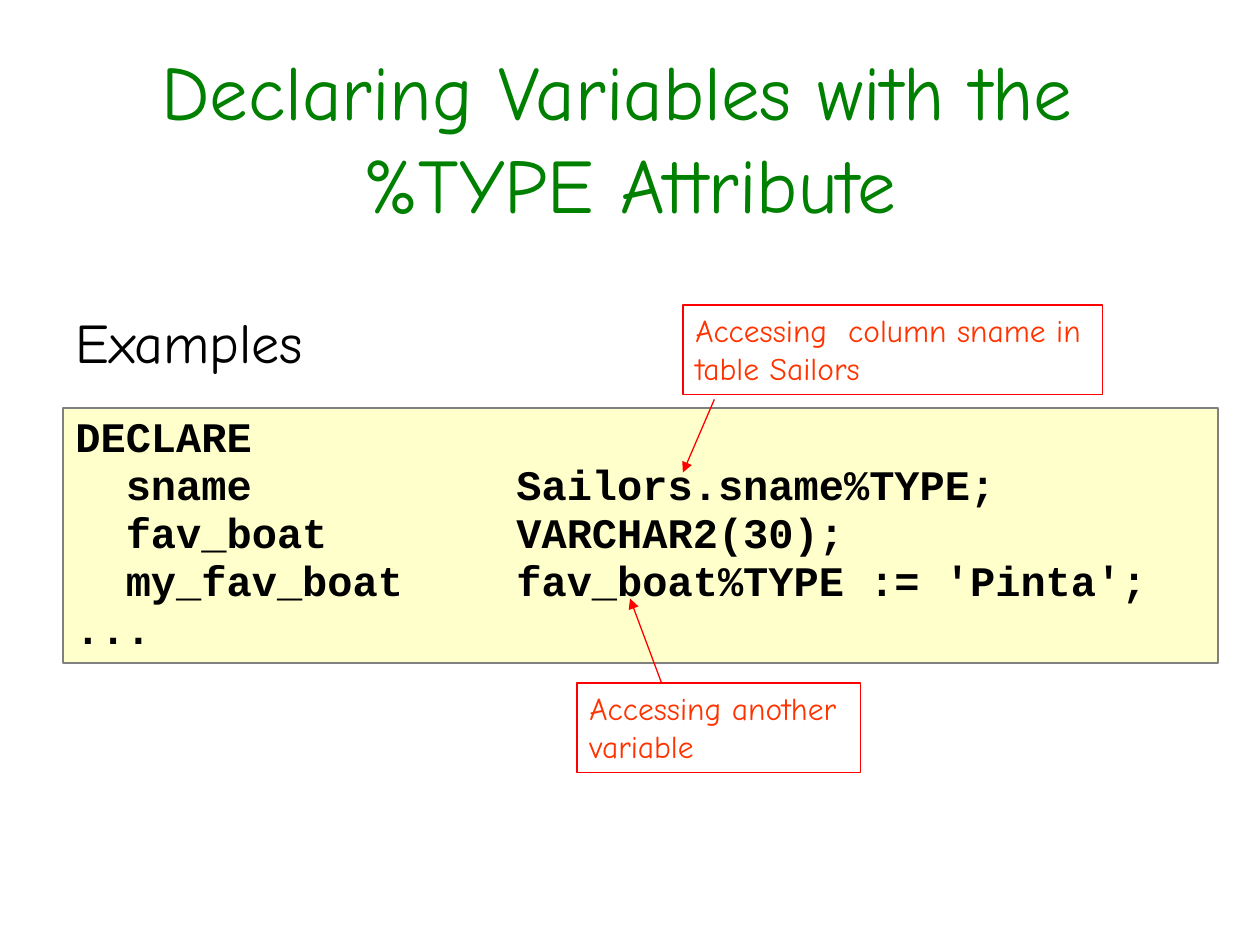
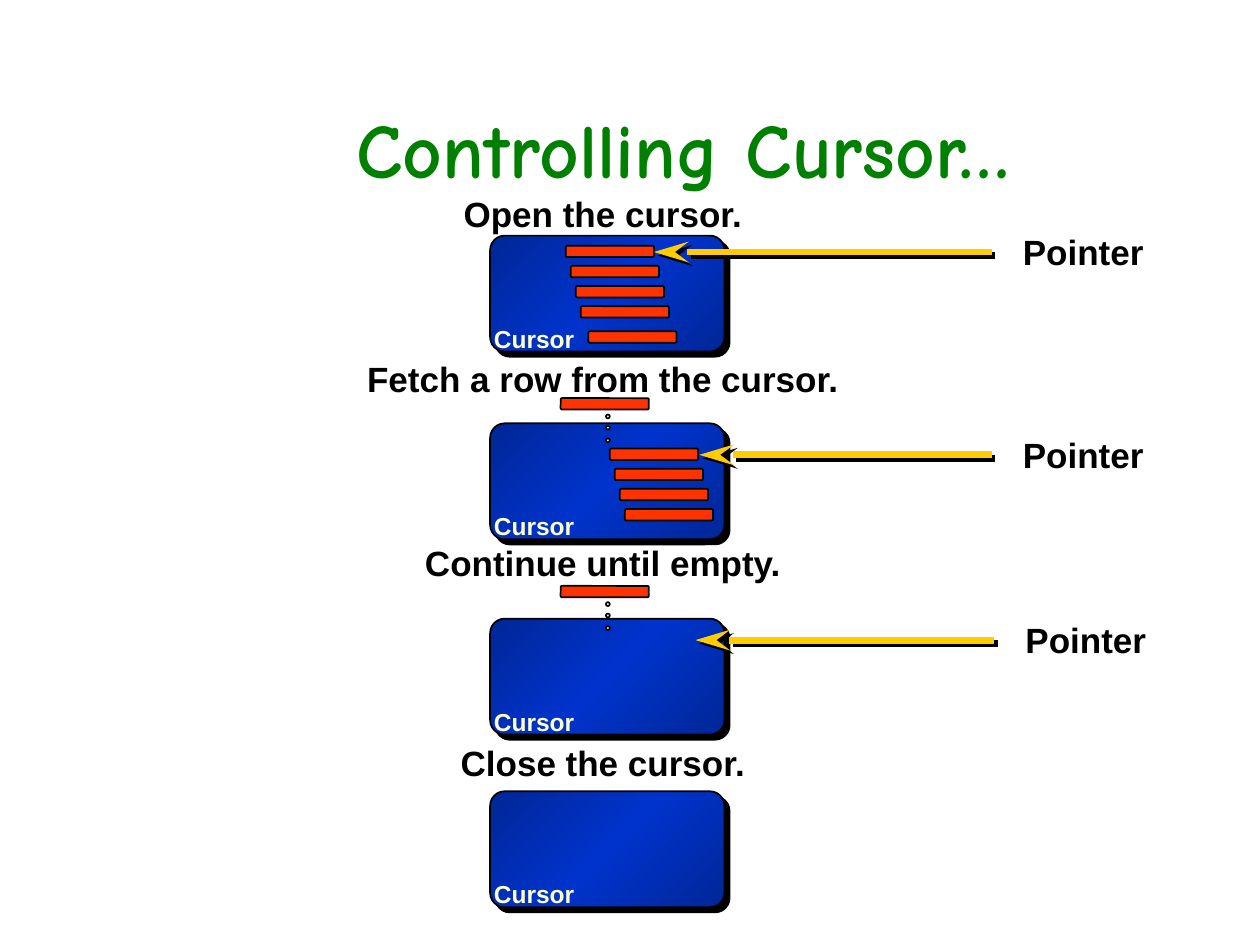
from dataclasses import dataclass

from lxml import etree
from pptx import Presentation
from pptx.dml.color import RGBColor
from pptx.enum.shapes import MSO_CONNECTOR, MSO_SHAPE
from pptx.enum.text import MSO_ANCHOR, PP_ALIGN
from pptx.oxml.ns import qn
from pptx.util import Inches, Pt

RECT, ROUNDED, OVAL = MSO_SHAPE.RECTANGLE, MSO_SHAPE.ROUNDED_RECTANGLE, MSO_SHAPE.OVAL
STRAIGHT = MSO_CONNECTOR.STRAIGHT
LEFT, CENTER = PP_ALIGN.LEFT, PP_ALIGN.CENTER
TOP = MSO_ANCHOR.TOP


@dataclass(frozen=True)
class Theme:
    # Fonts
    hand: str = "Comic Neue"
    sans: str = "Arial"
    mono: str = "Courier New"
    # Colours
    title: str = "008000"
    ink: str = "000000"
    cream: str = "FFFFCC"
    gray: str = "808080"
    red: str = "FF0000"
    orange: str = "FF3300"
    gold: str = "FFCC00"
    navy: str = "002697"
    blue: str = "0033CC"
    # Type sizes
    title_size: int = 44
    body_size: int = 32
    code_size: int = 24
    label_size: int = 20
    note_size: int = 18
    caption_size: int = 14


def sub(parent, tag, **attrs):
    """Add a drawing element with the given attributes."""
    child = etree.SubElement(parent, qn(tag))
    for name, value in attrs.items():
        child.set(name, str(value))
    return child


class Deck:
    def __init__(self, theme):
        self.t = theme
        self.prs = Presentation()
        self.prs.slide_width, self.prs.slide_height = Inches(10), Inches(7.5)
        self.s = None

    def new_slide(self):
        self.s = self.prs.slides.add_slide(self.prs.slide_layouts[6])

    # Text
    def fill_text(self, sp, text, size, color, font, bold=False, align=LEFT,
                  spacing=None, inset=(0.1, 0.05)):
        tf = sp.text_frame
        tf.word_wrap = True
        tf.vertical_anchor = TOP
        tf.margin_left = tf.margin_right = Inches(inset[0])
        tf.margin_top = tf.margin_bottom = Inches(inset[1])
        tf.text = text
        for p in tf.paragraphs:
            p.alignment = align
            if spacing:
                p.line_spacing = spacing
            for r in p.runs:
                r.font.name, r.font.size, r.font.bold = font, Pt(size), bold
                r.font.color.rgb = RGBColor.from_string(color)
        return tf

    def text(self, box, *args, **style):
        sp = self.s.shapes.add_textbox(*map(Inches, box))
        return self.fill_text(sp, *args, **style)

    def title(self, box, text, bold=False):
        self.text(box, text, self.t.title_size, self.t.title, self.t.hand, bold, CENTER)

    def label(self, box, text, align=LEFT, spacing=None):
        self.text(box, text, self.t.label_size, self.t.ink, self.t.sans, True, align, spacing)

    # Shapes and lines
    def shape(self, kind, box, fill, line, width=1):
        sp = self.s.shapes.add_shape(kind, *map(Inches, box))
        sp.shadow.inherit = False
        if kind == ROUNDED:
            sp.adjustments[0] = 0.125
        if fill:
            sp.fill.solid()
            sp.fill.fore_color.rgb = RGBColor.from_string(fill)
        else:
            sp.fill.background()
        sp.line.color.rgb = RGBColor.from_string(line)
        sp.line.width = Pt(width)
        return sp

    def drop_shadow(self, effects, distance):
        shadow = sub(effects, "a:outerShdw", blurRad=0, dist=Pt(distance),
                     dir=45 * 60000, algn="ctr", rotWithShape=0)
        sub(shadow, "a:srgbClr", val=self.t.ink)

    def arrow(self, start, end, color, width, head, length="med", shadow=0):
        c = self.s.shapes.add_connector(STRAIGHT, *map(Inches, start + end))
        c.line.color.rgb = RGBColor.from_string(color)
        c.line.width = Pt(width)
        props = c._element.spPr
        sub(props.find(qn("a:ln")), "a:tailEnd", type=head, w="med", len=length)
        effects = sub(props, "a:effectLst")
        if shadow:
            self.drop_shadow(effects, shadow)

    # Variable declarations
    def code(self, box, lines, stops):
        sp = self.shape(RECT, box, self.t.cream, self.t.gray)
        tf = self.fill_text(sp, "\n".join(lines), self.t.code_size, self.t.ink,
                            self.t.mono, True, spacing=0.95)
        for p in tf.paragraphs:
            tabs = sub(p._p.get_or_add_pPr(), "a:tabLst")
            for stop in stops:
                sub(tabs, "a:tab", pos=Inches(stop), algn="l")

    def callout(self, box, text, start, end):
        sp = self.shape(RECT, box, None, self.t.red, 0.75)
        self.fill_text(sp, text, self.t.note_size, self.t.orange, self.t.hand)
        self.arrow(start, end, self.t.red, 0.75, "triangle")

    # Cursor diagram
    def cursor(self, top):
        t = self.t
        sp = self.shape(ROUNDED, (3.89, top, 1.86, 0.92), t.blue, t.ink)
        sp.fill.gradient()
        sp.fill.gradient_angle = 315
        stops = sp._element.spPr.find(".//" + qn("a:gsLst"))
        for stop in list(stops):
            stops.remove(stop)
        for pos, color in ((0, t.navy), (50, t.blue), (100, t.navy)):
            sub(sub(stops, "a:gs", pos=pos * 1000), "a:srgbClr", val=color)
        self.drop_shadow(sp._element.spPr.find(qn("a:effectLst")), 4.2)
        self.text((3.86, top + 0.67, 0.84, 0.3), "Cursor", t.caption_size,
                  t.cream, t.sans, True, inset=(0.06, 0.03))

    def row(self, left, top):
        self.shape(ROUNDED, (left, top, 0.7, 0.09), self.t.orange, self.t.ink)

    def row_stack(self, left, top, count=4):
        for i in range(count):
            self.row(left + 0.04 * i, top + 0.16 * i)

    def fetched_row(self, top):
        for gap in (0.32, 0.22, 0.13):
            self.shape(OVAL, (4.81, top + gap, 0.03, 0.03), self.t.cream, self.t.ink)
        self.row(4.45, top)

    def pointer(self, tip, tail, y):
        self.label((tail + 0.15, y - 0.22, 1.4, 0.43), "Pointer")
        self.arrow((tail, y), (tip, y), self.t.gold, 4, "stealth", "lg", 2.8)


theme = Theme()
deck = Deck(theme)

# Slide 1: the %TYPE attribute
deck.new_slide()
deck.title((0.5, 0.3, 9, 1.25), "Declaring Variables with the \v%TYPE Attribute")
deck.text((0.5, 2.39, 4, 0.63), "Examples", theme.body_size, theme.ink, theme.hand)
deck.code((0.5, 3.24, 9.17, 2.02), [
    "DECLARE",
    "\tsname\tSailors.sname%TYPE;",
    "\tfav_boat\tVARCHAR2(30);",
    "\tmy_fav_boat\tfav_boat%TYPE := 'Pinta';",
    "...",
], stops=(0.4, 3.5))
deck.callout((5.42, 2.42, 3.33, 0.71), "Accessing  column sname in table Sailors",
             (5.67, 3.17), (5.42, 3.75))
deck.callout((4.58, 5.42, 2.25, 0.71), "Accessing another variable",
             (5.25, 5.42), (5, 4.75))

# Slide 2: the life of a cursor
deck.new_slide()
deck.title((2.5, 0.76, 5.85, 0.83), "Controlling Cursor…", bold=True)

# Steps: caption, caption top, cursor top
for step, caption_top, cursor_top in (
    ("Open the cursor.", 1.5, 1.87),
    ("Fetch a row from the cursor.", 2.81, 3.36),
    ("Continue until empty.", 4.27, 4.91),
    ("Close the cursor.", 5.86, 6.28),
):
    deck.label((2.51, caption_top, 4.55, 0.42), step, CENTER, 0.95)
    deck.cursor(cursor_top)

# Rows held by the open cursors, and rows already fetched
deck.row_stack(4.49, 1.95)
deck.row(4.67, 2.63)
deck.row_stack(4.84, 3.56)
for top in (3.16, 4.65):
    deck.fetched_row(top)

# Pointers to the current row
for tip, tail, y in ((5.19, 7.87, 2), (5.55, 7.87, 3.61), (5.52, 7.89, 5.08)):
    deck.pointer(tip, tail, y)

deck.prs.save("out.pptx")
